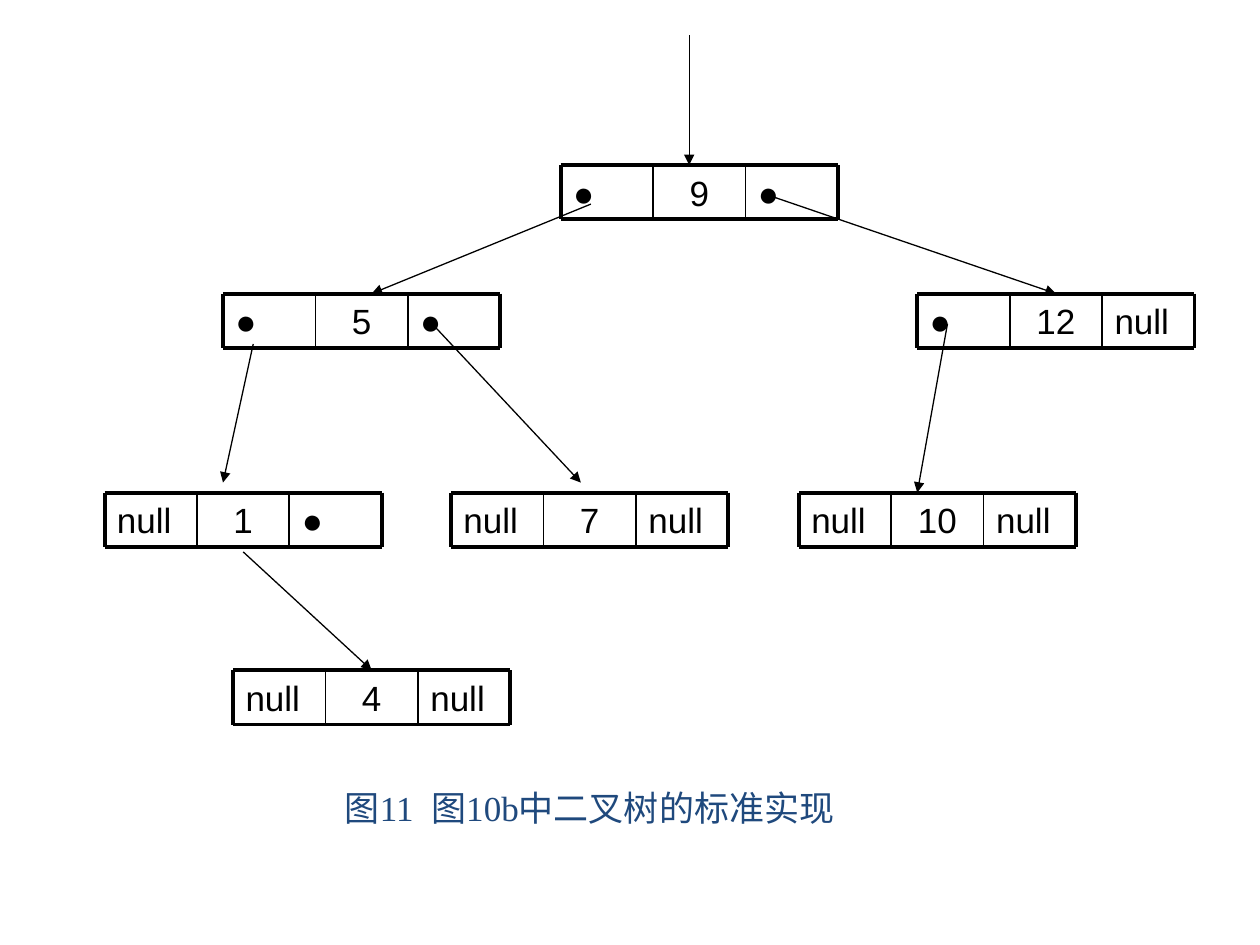
from dataclasses import dataclass

from lxml import etree
from pptx import Presentation
from pptx.dml.color import RGBColor
from pptx.enum.shapes import MSO_CONNECTOR
from pptx.enum.text import MSO_ANCHOR, PP_ALIGN
from pptx.oxml.ns import qn
from pptx.util import Inches, Pt

STRAIGHT = MSO_CONNECTOR.STRAIGHT
MIDDLE = MSO_ANCHOR.MIDDLE
LEFT, CENTER = PP_ALIGN.LEFT, PP_ALIGN.CENTER
TOP_SIDE = 0


@dataclass(frozen=True)
class Theme:
    ink: RGBColor = RGBColor(0x00, 0x00, 0x00)
    caption: RGBColor = RGBColor(0x1F, 0x49, 0x7D)
    node_font: str = "Arial"
    caption_font: str = "Times New Roman"
    text_size: float = 20
    frame_width: float = 2.25
    divider_width: float = 1
    arrow_width: float = 0.75


THEME = Theme()
NODE_WIDTH, NODE_HEIGHT = 2.2, 0.43
CELL_WIDTH = NODE_WIDTH / 3
DOT = "●"

NODES = {
    "9": (4.45, 1.31, DOT, DOT),
    "5": (1.77, 2.33, DOT, DOT),
    "12": (7.28, 2.33, DOT, "null"),
    "1": (0.83, 3.91, "null", DOT),
    "7": (3.58, 3.91, "null", "null"),
    "10": (6.34, 3.91, "null", "null"),
    "4": (1.85, 5.32, "null", "null"),
}

ARROWS = [
    ((5.47, 0.28), (5.47, 1.31), None),
    ((4.69, 1.62), (2.95, 2.33), None),
    ((6.1, 1.55), (8.39, 2.33), "12"),
    ((2.01, 2.73), (1.77, 3.83), None),
    ((3.43, 2.57), (4.61, 3.83), None),
    ((7.52, 2.57), (7.28, 3.91), None),
    ((1.93, 4.38), (2.95, 5.32), "4"),
]


def add_text(shapes, text, box, *, font, color, align=LEFT, space_before=0):
    text_box = shapes.add_textbox(*(Inches(length) for length in box))
    frame = text_box.text_frame
    frame.word_wrap = True
    frame.vertical_anchor = MIDDLE
    para = frame.paragraphs[0]
    para.alignment = align
    para.space_before = Pt(space_before)
    span = para.add_run()
    span.text = text
    span.font.name = font
    span.font.size = Pt(THEME.text_size)
    span.font.color.rgb = color
    return text_box


def add_line(shapes, start, end, width):
    line = shapes.add_connector(
        STRAIGHT, *(Inches(length) for length in (*start, *end))
    )
    line.line.color.rgb = THEME.ink
    line.line.width = Pt(width)
    etree.SubElement(line._element.spPr, qn("a:effectLst"))
    return line


def add_arrow(shapes, start, end, target=None):
    arrow = add_line(shapes, start, end, THEME.arrow_width)
    if target is not None:
        arrow.end_connect(target, TOP_SIDE)
    outline = arrow.line._get_or_add_ln()
    etree.SubElement(outline, qn("a:tailEnd"), type="triangle")


def add_node(page, box, cells):
    left, top, width, height = box
    shapes = page.shapes.add_group_shape().shapes
    cell_width = width / len(cells)
    edges = [left + index * cell_width for index in range(len(cells) + 1)]
    text_boxes = [
        add_text(
            shapes, text, (edge, top, cell_width, height),
            font=THEME.node_font, color=THEME.ink, space_before=4,
            align=CENTER if index == 1 else LEFT,
        )
        for index, (edge, text) in enumerate(zip(edges, cells))
    ]
    for y in (top, top + height):
        add_line(shapes, (left, y), (left + width, y), THEME.frame_width)
    for edge in edges:
        outer = edge in (edges[0], edges[-1])
        weight = THEME.frame_width if outer else THEME.divider_width
        add_line(shapes, (edge, top), (edge, top + height), weight)
    return text_boxes[1]


def add_tree(page):
    value_cells = {
        value: add_node(
            page, (left, top, NODE_WIDTH, NODE_HEIGHT),
            (left_link, value, right_link),
        )
        for value, (left, top, left_link, right_link) in NODES.items()
    }
    for start, end, target in ARROWS:
        add_arrow(page.shapes, start, end, value_cells.get(target))


def add_caption(page, box):
    add_text(
        page.shapes, "图11  图10b中二叉树的标准实现", box,
        font=THEME.caption_font, color=THEME.caption, align=CENTER,
    )


def main():
    deck = Presentation()
    deck.slide_width, deck.slide_height = Inches(10), Inches(7.5)
    page = deck.slides.add_slide(deck.slide_layouts[6])
    add_tree(page)
    add_caption(page, (1.06, 6.19, 7.24, 0.43))
    deck.save("out.pptx")


if __name__ == "__main__":
    main()
